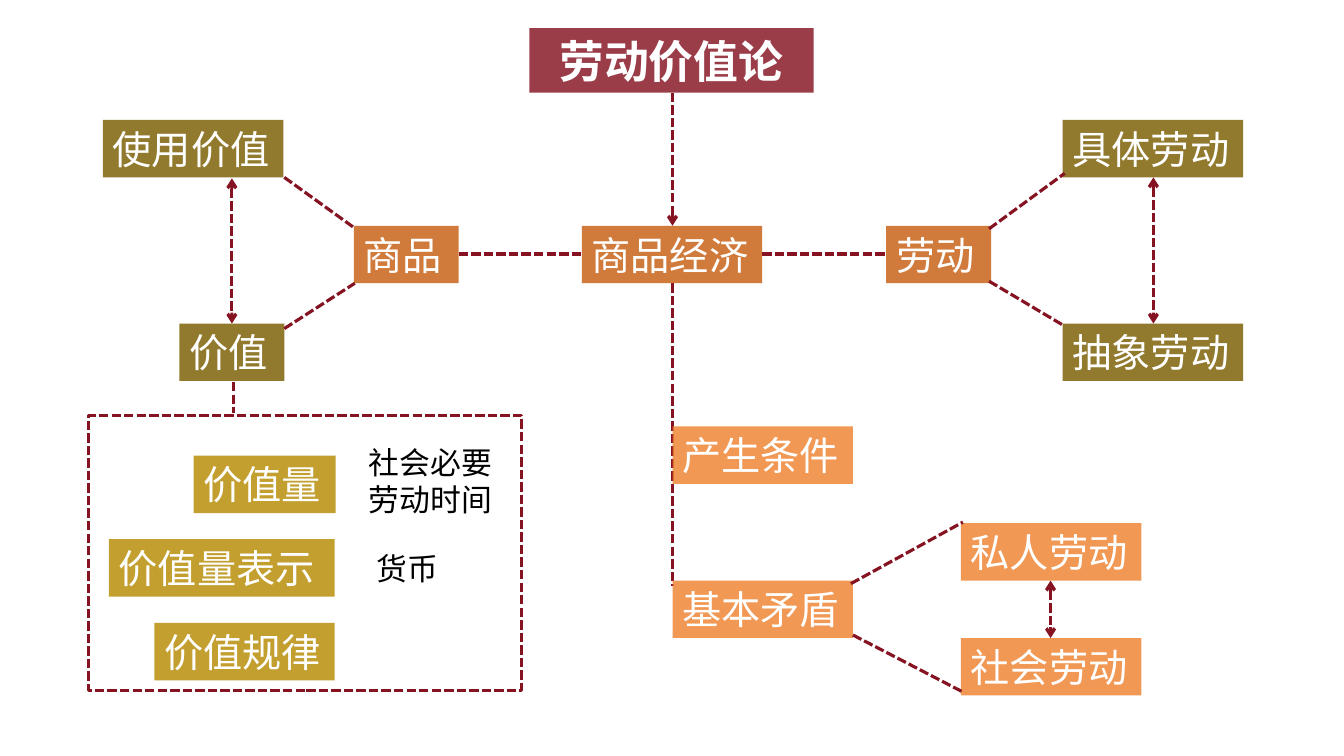
from dataclasses import dataclass

from lxml import etree
from pptx import Presentation
from pptx.dml.color import RGBColor
from pptx.enum.dml import MSO_LINE
from pptx.enum.shapes import MSO_CONNECTOR, MSO_SHAPE
from pptx.enum.text import MSO_ANCHOR, MSO_AUTO_SIZE, PP_ALIGN
from pptx.oxml.ns import qn
from pptx.util import Inches, Pt

DASH = MSO_LINE.SQUARE_DOT
STRAIGHT = MSO_CONNECTOR.STRAIGHT
RECT = MSO_SHAPE.RECTANGLE
MIDDLE = MSO_ANCHOR.MIDDLE
FIXED = MSO_AUTO_SIZE.NONE
LEFT, CENTER = PP_ALIGN.LEFT, PP_ALIGN.CENTER


@dataclass(frozen=True)
class Theme:
    font: str = "Noto Sans CJK SC"
    wine: str = "851321"
    rust: str = "C65F10"
    olive: str = "795D01"
    gold: str = "B58B01"
    orange: str = "EE822F"
    white: str = "FFFFFF"
    black: str = "000000"
    alpha: str = "82000"
    title: float = 32
    label: float = 28
    note: float = 22
    pitch: float = 26.4
    stroke: float = 2.25


THEME = Theme()
TALL = 0.57
WIDE = 1.79
DUO = 1.04
AXIS = 6.67
MID = 2.52


def apply(target, values):
    for name, value in values.items():
        setattr(target, name, value)


class Chart:
    def __init__(self, slide, theme):
        self.slide = slide
        self.theme = theme

    def tint(self, shape, color):
        shape.fill.solid()
        shape.fill.fore_color.rgb = RGBColor.from_string(color)
        node = shape._element.spPr.find(qn("a:solidFill"))[0]
        etree.SubElement(node, qn("a:alpha"), val=self.theme.alpha)

    def label(self, shape, text, size, color, align=LEFT, bold=False, pitch=None):
        frame = shape.text_frame
        apply(frame, {"word_wrap": True, "auto_size": FIXED,
                      "vertical_anchor": MIDDLE})
        para = frame.paragraphs[0]
        apply(para, {"alignment": align, "line_spacing": pitch})
        run = para.add_run()
        run.text = text
        apply(run.font, {"name": self.theme.font, "size": Pt(size), "bold": bold})
        run.font.color.rgb = RGBColor.from_string(color)
        props = run._r.get_or_add_rPr()
        etree.SubElement(props, qn("a:ea"), typeface=self.theme.font)

    def stroke(self, line):
        apply(line, {"width": Pt(self.theme.stroke), "dash_style": DASH})
        line.color.rgb = RGBColor.from_string(self.theme.wine)

    def head(self, text, left, top, width, height):
        shape = self.slide.shapes.title
        apply(shape, {"left": Inches(left), "top": Inches(top),
                      "width": Inches(width), "height": Inches(height)})
        self.tint(shape, self.theme.wine)
        self.label(shape, text, self.theme.title, self.theme.white, CENTER, True)

    def box(self, text, color, left, top, width=WIDE):
        shape = self.slide.shapes.add_shape(
            RECT, Inches(left), Inches(top), Inches(width), Inches(TALL))
        shape.shadow.inherit = False
        shape.line.fill.background()
        self.tint(shape, color)
        self.label(shape, text, self.theme.label, self.theme.white)

    def note(self, text, left, top, width, height):
        shape = self.slide.shapes.add_textbox(
            Inches(left), Inches(top), Inches(width), Inches(height))
        self.label(shape, text, self.theme.note, self.theme.black,
                   pitch=Pt(self.theme.pitch))

    def frame(self, left, top, width, height):
        shape = self.slide.shapes.add_shape(
            RECT, Inches(left), Inches(top), Inches(width), Inches(height))
        shape.shadow.inherit = False
        shape.fill.background()
        self.stroke(shape.line)

    def link(self, start, end, ends=()):
        wire = self.slide.shapes.add_connector(
            STRAIGHT, *(Inches(n) for n in (*start, *end)))
        self.stroke(wire.line)
        props = wire._element.spPr
        line = props.find(qn("a:ln"))
        for name in ends:
            etree.SubElement(line, qn("a:" + name), type="arrow")
        etree.SubElement(props, qn("a:effectLst"))


def main():
    deck = Presentation()
    apply(deck, {"slide_width": Inches(13.33), "slide_height": Inches(7.5)})
    chart = Chart(deck.slides.add_slide(deck.slide_layouts[5]), THEME)

    chart.head("劳动价值论", 5.25, 0.28, 2.82, 0.64)
    chart.frame(0.88, 4.12, 4.29, 2.73)
    chart.link((AXIS, 2.81), (AXIS, 5.81))

    boxes = {
        THEME.rust: [("商品", 3.51, 2.24, DUO), ("商品经济", 5.77, 2.24),
                     ("劳动", 8.79, 2.24, DUO)],
        THEME.olive: [("使用价值", 1.02, 1.19), ("价值", 1.78, 3.21, DUO),
                      ("具体劳动", 10.54, 1.19), ("抽象劳动", 10.54, 3.21)],
        THEME.gold: [("价值量", 1.92, 4.52, 1.41), ("价值量表示", 1.08, 5.35, 2.24),
                     ("价值规律", 1.53, 6.18)],
        THEME.orange: [("产生条件", AXIS, 4.23), ("基本矛盾", AXIS, 5.76),
                       ("私人劳动", 9.53, 5.19), ("社会劳动", 9.53, 6.33)],
    }
    for color, group in boxes.items():
        for text, *place in group:
            chart.box(text, color, *place)

    chart.note("社会必要劳动时间", 3.56, 4.35, 1.61, 0.84)
    chart.note("货币", 3.64, 5.4, 1.61, 0.47)

    plain = [
        ((2.32, 3.79), (2.32, 4.1)),
        ((2.82, 1.76), (3.5, 2.25)),
        ((2.82, 3.26), (3.52, 2.81)),
        ((4.55, MID), (5.77, MID)),
        ((7.56, MID), (8.79, MID)),
        ((9.81, 2.27), (10.56, 1.72)),
        ((9.81, 2.79), (10.55, 3.23)),
        ((8.44, 5.79), (9.55, 5.18)),
        ((8.46, 6.3), (9.54, 6.86)),
    ]
    for start, end in plain:
        chart.link(start, end)
    for x, top, base in [(10.42, 5.76, 6.33), (2.3, 1.77, 3.21), (11.44, 1.76, 3.21)]:
        chart.link((x, top), (x, base), ("headEnd", "tailEnd"))
    chart.link((AXIS, 0.92), (AXIS, 2.24), ("tailEnd",))

    deck.save("out.pptx")


if __name__ == "__main__":
    main()
